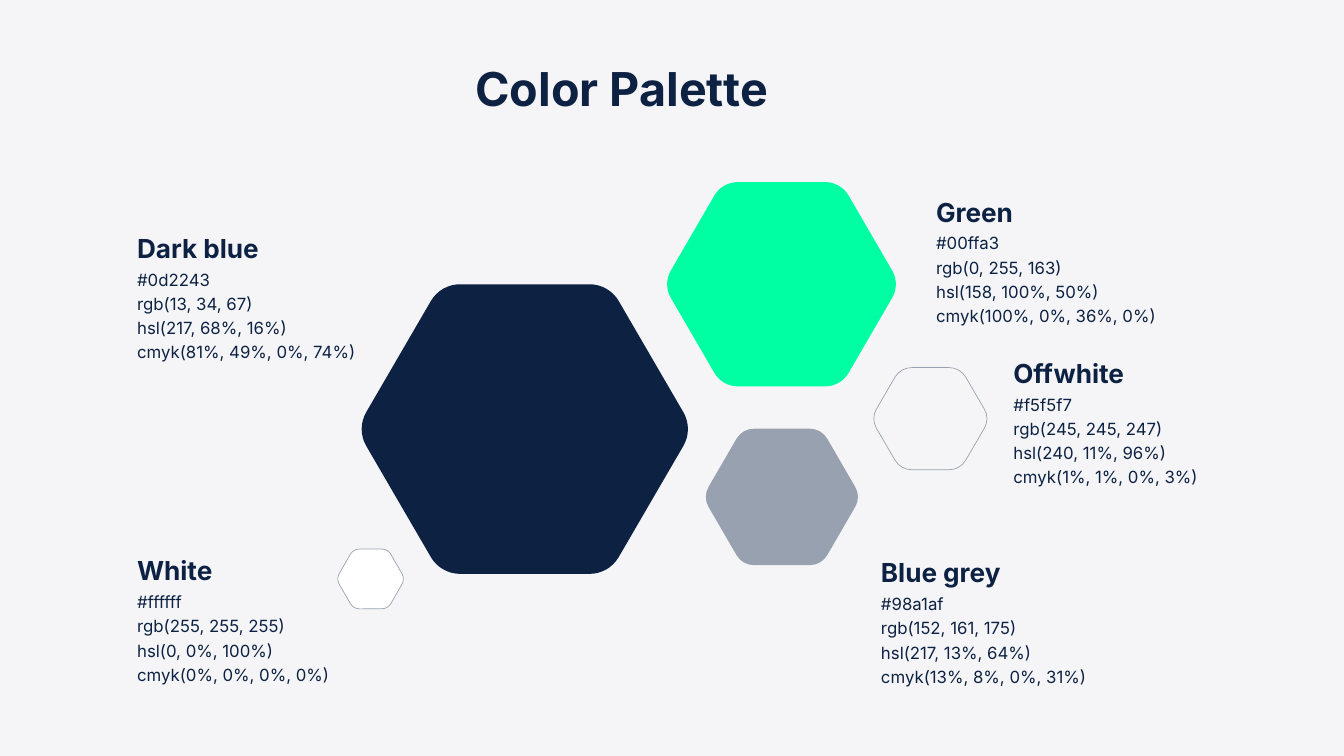
import math
from dataclasses import dataclass

import lxml.etree
import pptx
import pptx.dml.color
import pptx.enum.text
import pptx.oxml.ns
import pptx.util

Inches = pptx.util.Inches
Pt = pptx.util.Pt
RGBColor = pptx.dml.color.RGBColor

DARK_BLUE = RGBColor(0x0D, 0x22, 0x43)
GREEN = RGBColor(0x00, 0xFF, 0xA3)
BLUE_GREY = RGBColor(0x98, 0xA1, 0xAF)
OFFWHITE = RGBColor(0xF5, 0xF5, 0xF7)
WHITE = RGBColor(0xFF, 0xFF, 0xFF)
FONT = "Inter"
CODES_OFFSET = 0.68
HALF_ARC = math.pi / 6
HANDLE = 4 / 3 * math.tan(HALF_ARC / 2)


@dataclass
class Hexagon:
    left: float
    top: float
    width: float
    height: float
    flat_edge: float
    fill: RGBColor
    outlined: bool = False


@dataclass
class Label:
    left: float
    top: float
    name: str
    name_width: float
    codes: tuple[str, ...]
    codes_width: float = 3.48
    codes_height: float = 1.17


HEXAGONS = [
    Hexagon(5.36, 4.23, 4.9, 4.31, 1.91, DARK_BLUE),
    Hexagon(9.91, 2.71, 3.44, 3.04, 1.29, GREEN),
    Hexagon(10.49, 6.38, 2.29, 2.03, 0.83, BLUE_GREY),
    Hexagon(12.99, 5.47, 1.71, 1.52, 0.55, OFFWHITE, outlined=True),
    Hexagon(5.02, 8.17, 0.99, 0.89, 0.33, WHITE, outlined=True),
]

LABELS = [
    Label(2.04, 3.27, "Dark blue", 1.82,
          ("#0d2243", "rgb(13, 34, 67)", "hsl(217, 68%, 16%)", "cmyk(81%, 49%, 0%, 74%)")),
    Label(13.11, 8.1, "Blue grey", 1.8,
          ("#98a1af", "rgb(152, 161, 175)", "hsl(217, 13%, 64%)", "cmyk(13%, 8%, 0%, 31%)")),
    Label(13.93, 2.73, "Green", 1.17,
          ("#00ffa3", "rgb(0, 255, 163)", "hsl(158, 100%, 50%)", "cmyk(100%, 0%, 36%, 0%)"),
          codes_width=4.82, codes_height=1.22),
    Label(15.08, 5.13, "Offwhite", 1.67,
          ("#f5f5f7", "rgb(245, 245, 247)", "hsl(240, 11%, 96%)", "cmyk(1%, 1%, 0%, 3%)")),
    Label(2.04, 8.07, "White", 1.13,
          ("#ffffff", "rgb(255, 255, 255)", "hsl(0, 0%, 100%)", "cmyk(0%, 0%, 0%, 0%)")),
]


def corner_points(hexagon: Hexagon, corner: int) -> list[tuple[int, int]]:
    """Return the start, two handles and end of one rounded corner."""
    radius = hexagon.height / 2 - hexagon.flat_edge * math.sin(math.pi / 3)
    middle = corner * math.pi / 3
    start, end = middle - HALF_ARC, middle + HALF_ARC
    directions = [
        (math.cos(start), math.sin(start)),
        (math.cos(start) - HANDLE * math.sin(start), math.sin(start) + HANDLE * math.cos(start)),
        (math.cos(end) + HANDLE * math.sin(end), math.sin(end) - HANDLE * math.cos(end)),
        (math.cos(end), math.sin(end)),
    ]
    reach = hexagon.flat_edge + radius * (math.cos(HALF_ARC) + HANDLE * math.sin(HALF_ARC))
    stretch = hexagon.width / 2 / reach
    return [
        (Inches(hexagon.left + hexagon.width / 2
                + stretch * (hexagon.flat_edge * math.cos(middle) + radius * x)),
         Inches(hexagon.top + hexagon.height / 2
                + hexagon.flat_edge * math.sin(middle) + radius * y))
        for x, y in directions
    ]


def curve_corners(shape: pptx.shapes.autoshape.Shape) -> None:
    """Turn the last three of every four line segments into one cubic curve."""
    qn = pptx.oxml.ns.qn
    lines = list(shape.element.iter(qn("a:lnTo")))
    for index in range(0, 24, 4):
        curve = lxml.etree.Element(qn("a:cubicBezTo"))
        segments = lines[index + 1:index + 4]
        segments[0].addprevious(curve)
        for segment in segments:
            curve.append(segment[0])
            segment.getparent().remove(segment)


def draw_hexagon(page: pptx.slide.Slide, hexagon: Hexagon) -> None:
    corners = [corner_points(hexagon, corner) for corner in (1, 2, 3, 4, 5, 0)]
    builder = page.shapes.build_freeform(*corners[-1][-1])
    builder.add_line_segments([point for corner in corners for point in corner], close=True)
    shape = builder.convert_to_shape()
    curve_corners(shape)
    shape.shadow.inherit = False
    shape.fill.solid()
    shape.fill.fore_color.rgb = hexagon.fill
    if hexagon.outlined:
        shape.line.color.rgb = BLUE_GREY
        shape.line.width = Pt(0.75)
    else:
        shape.line.fill.background()


def write_text(box: pptx.shapes.autoshape.Shape, text: str, size: float,
               spacing: float, bold: bool = False) -> None:
    frame = box.text_frame
    frame.text = text
    frame.word_wrap = True
    frame.auto_size = pptx.enum.text.MSO_AUTO_SIZE.SHAPE_TO_FIT_TEXT
    frame.vertical_anchor = pptx.enum.text.MSO_ANCHOR.TOP
    frame.margin_left = frame.margin_right = frame.margin_top = frame.margin_bottom = 0
    for paragraph in frame.paragraphs:
        paragraph.line_spacing = spacing
        for span in paragraph.runs:
            span.font.name = FONT
            span.font.size = Pt(size)
            span.font.bold = bold
            span.font.color.rgb = DARK_BLUE


def draw_label(page: pptx.slide.Slide, label: Label) -> None:
    heading = page.shapes.add_textbox(
        Inches(label.left), Inches(label.top), Inches(label.name_width), Inches(0.54))
    write_text(heading, label.name, 28, 1.4, bold=True)
    codes = page.shapes.add_textbox(
        Inches(label.left), Inches(label.top + CODES_OFFSET),
        Inches(label.codes_width), Inches(label.codes_height))
    write_text(codes, "\n".join(label.codes), 18, 1.2)


def draw_title(page: pptx.slide.Slide) -> None:
    title = page.shapes.title
    title.left, title.top = Inches(5.54), Inches(0.72)
    title.width, title.height = Inches(7.43), Inches(0.84)
    write_text(title, "Color Palette", 50, 1.2, bold=True)
    paragraph = title.text_frame.paragraphs[0]
    paragraph.alignment = pptx.enum.text.PP_ALIGN.CENTER
    paragraph.space_before = Pt(0)


def main() -> None:
    deck = pptx.Presentation()
    deck.slide_width, deck.slide_height = Inches(20), Inches(11.25)
    page = deck.slides.add_slide(deck.slide_layouts.get_by_name("Title Only"))
    page.background.fill.solid()
    page.background.fill.fore_color.rgb = OFFWHITE
    draw_title(page)
    for hexagon in HEXAGONS:
        draw_hexagon(page, hexagon)
    for label in LABELS:
        draw_label(page, label)
    deck.save("out.pptx")


if __name__ == "__main__":
    main()
